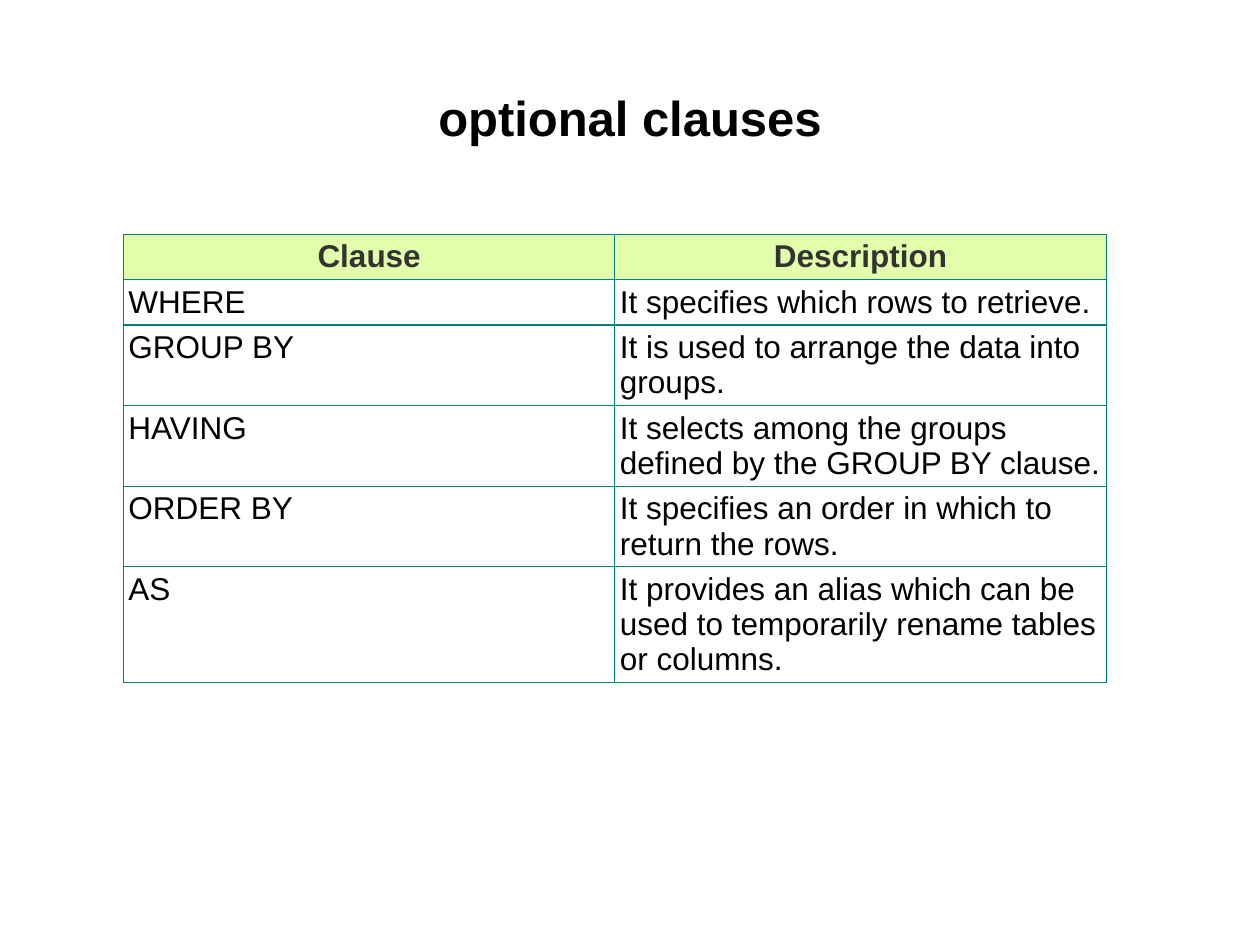
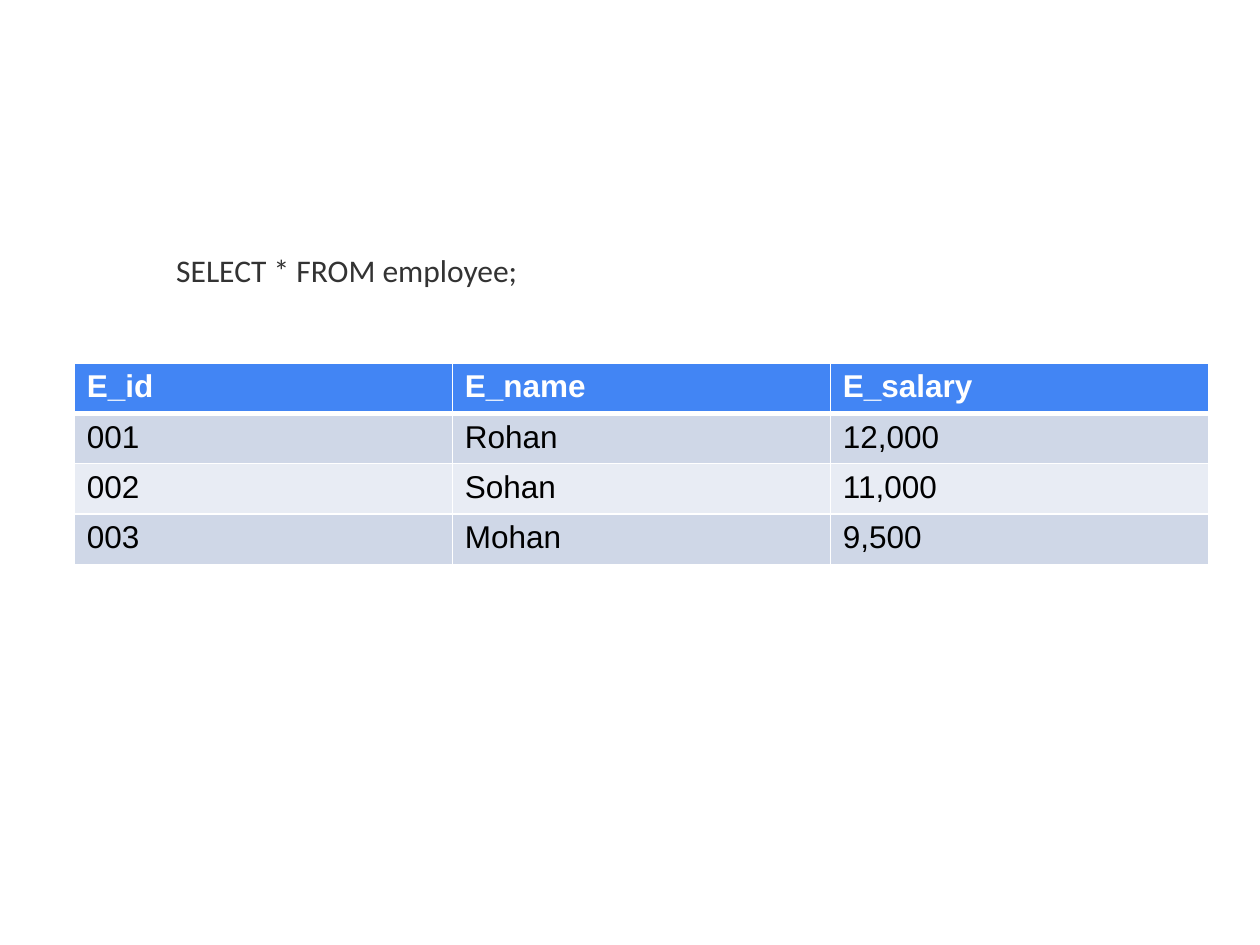
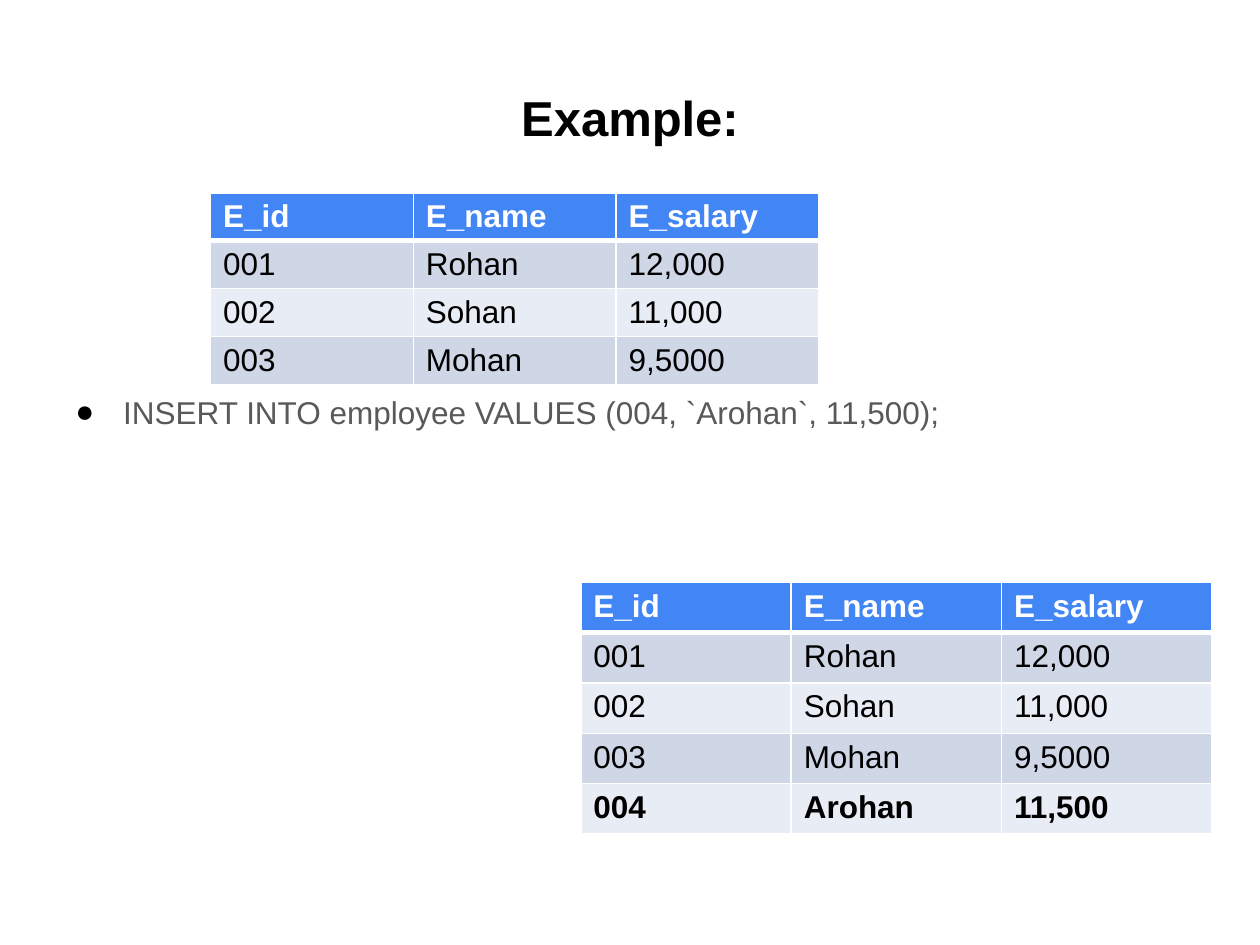
from dataclasses import dataclass

from lxml import etree
from pptx import Presentation
from pptx.dml.color import RGBColor
from pptx.enum.text import MSO_ANCHOR, MSO_AUTO_SIZE, PP_ALIGN
from pptx.oxml.ns import qn
from pptx.util import Inches, Pt

LEFT, CENTER = PP_ALIGN.LEFT, PP_ALIGN.CENTER
TOP, MIDDLE = MSO_ANCHOR.TOP, MSO_ANCHOR.MIDDLE
NO_FIT, GROW = MSO_AUTO_SIZE.NONE, MSO_AUTO_SIZE.SHAPE_TO_FIT_TEXT
TITLE_ONLY, BLANK = 5, 6


@dataclass(frozen=True)
class TableStyle:
    header_fill: str
    header_color: str
    header_align: int
    body_fills: tuple
    border: str
    border_width: float
    header_rule: float
    inset_x: float
    inset_y: float


@dataclass(frozen=True)
class Theme:
    font: str = "Arial"
    code_font: str = "Calibri"
    title_size: int = 28
    text_size: int = 18
    black: str = "000000"
    dark: str = "333333"
    gray: str = "595959"
    clauses: TableStyle = TableStyle(
        "E3FEAB", "333333", CENTER, ("FFFFFF",), "008080", 0.75, 0.75, 0.04, 0.04)
    employees: TableStyle = TableStyle(
        "4285F4", "FFFFFF", LEFT, ("CFD7E7", "E8ECF4"), "FFFFFF", 1, 3, 0.1, 0.05)


THEME = Theme()


def write(frame, text, size=THEME.text_size, font=THEME.font, color=THEME.black,
          bold=False, align=LEFT, bullet=None):
    """Put one formatted paragraph into a text frame."""
    para = frame.paragraphs[0]
    para.alignment = align
    if bullet:
        add_bullet(para, bullet, THEME.black, Inches(0.38))
    span = para.add_run()
    span.text = text
    span.font.size = Pt(size)
    span.font.name = font
    span.font.bold = bold
    span.font.color.rgb = RGBColor.from_string(color)


def add_bullet(para, mark, color, indent):
    properties = para._p.get_or_add_pPr()
    properties.set("marL", str(indent))
    properties.set("indent", str(-indent))
    bullet_color = etree.SubElement(properties, qn("a:buClr"))
    etree.SubElement(bullet_color, qn("a:srgbClr"), val=color)
    etree.SubElement(properties, qn("a:buFont"), typeface=THEME.font)
    etree.SubElement(properties, qn("a:buChar"), char=mark)


def set_borders(cell, color, widths):
    """Draw cell borders; widths are left, right, top, bottom in points."""
    properties = cell._tc.get_or_add_tcPr()
    for side, width in zip("LRTB", widths):
        line = etree.SubElement(properties, qn(f"a:ln{side}"), w=str(Pt(width)))
        fill = etree.SubElement(line, qn("a:solidFill"))
        etree.SubElement(fill, qn("a:srgbClr"), val=color)


class DeckBuilder:
    def __init__(self, theme):
        self.theme = theme
        self.deck = Presentation()
        self.deck.slide_width, self.deck.slide_height = Inches(10), Inches(7.5)
        self.page = None

    def add_page(self, title=None):
        layout = self.deck.slide_layouts[TITLE_ONLY if title else BLANK]
        self.page = self.deck.slides.add_slide(layout)
        if title:
            box = self.page.shapes.title
            box.left, box.top = Inches(0.5), Inches(0.3)
            box.width, box.height = Inches(9), Inches(1.25)
            box.text_frame.auto_size = NO_FIT
            box.text_frame.vertical_anchor = MIDDLE
            write(box.text_frame, title, size=self.theme.title_size, bold=True,
                  align=CENTER)

    def add_text(self, text, left, top, width, height, inset_top=0.05, fit=NO_FIT,
                 **style):
        box = self.page.shapes.add_textbox(
            Inches(left), Inches(top), Inches(width), Inches(height))
        frame = box.text_frame
        frame.word_wrap = True
        frame.auto_size = fit
        frame.margin_top = Inches(inset_top)
        write(frame, text, **style)

    def add_table(self, rows, left, top, column_width, row_height, style,
                  bold_rows=()):
        column_count = len(rows[0])
        table = self.page.shapes.add_table(
            len(rows), column_count, Inches(left), Inches(top),
            Inches(column_width * column_count), Inches(row_height * len(rows))).table
        table.first_row = table.horz_banding = False
        for column in table.columns:
            column.width = Inches(column_width)
        for row_index, values in enumerate(rows):
            table.rows[row_index].height = Inches(row_height)
            for column_index, value in enumerate(values):
                self.fill_cell(table.cell(row_index, column_index), value, row_index,
                               style, row_index == 0 or row_index in bold_rows)

    def fill_cell(self, cell, value, row_index, style, bold):
        header = row_index == 0
        thin, rule = style.border_width, style.header_rule
        set_borders(cell, style.border, (thin, thin, rule if row_index == 1 else thin,
                                         rule if header else thin))
        bands = style.body_fills
        fill = style.header_fill if header else bands[(row_index - 1) % len(bands)]
        cell.fill.solid()
        cell.fill.fore_color.rgb = RGBColor.from_string(fill)
        cell.margin_left = cell.margin_right = Inches(style.inset_x)
        cell.margin_top = cell.margin_bottom = Inches(style.inset_y)
        cell.vertical_anchor = TOP
        write(cell.text_frame, value, bold=bold,
              color=style.header_color if header else self.theme.black,
              align=style.header_align if header else LEFT)


CLAUSES = [
    ("Clause", "Description"),
    ("WHERE", "It specifies which rows to retrieve."),
    ("GROUP BY", "It is used to arrange the data into groups."),
    ("HAVING", "It selects among the groups defined by the GROUP BY clause."),
    ("ORDER BY", "It specifies an order in which to return the rows."),
    ("AS", "It provides an alias which can be used to temporarily rename tables "
           "or columns."),
]


def employee_rows(last_salary):
    return [
        ("E_id", "E_name", "E_salary"),
        ("001", "Rohan", "12,000"),
        ("002", "Sohan", "11,000"),
        ("003", "Mohan", last_salary),
    ]


def main():
    builder = DeckBuilder(THEME)

    # Optional clauses
    builder.add_page("optional clauses")
    builder.add_table(CLAUSES, 0.98, 1.86, 3.9, 0.25, THEME.clauses)

    # Select query and its result
    builder.add_page()
    builder.add_table(employee_rows("9,500"), 0.59, 2.88, 3, 0.4, THEME.employees)
    builder.add_text("SELECT * FROM employee;", 1.3, 1.94, 4.02, 0.4, fit=GROW,
                     font=THEME.code_font, color=THEME.dark)

    # Insert example: table before and after
    builder.add_page("Example:")
    before = employee_rows("9,5000")
    after = before + [("004", "Arohan", "11,500")]
    builder.add_text("INSERT INTO employee VALUES (004, `Arohan`, 11,500);",
                     0.5, 1.75, 9, 4.95, inset_top=1.37, color=THEME.gray, bullet="●")
    builder.add_table(after, 4.61, 4.62, 1.67, 0.4, THEME.employees, bold_rows=(4,))
    builder.add_table(before, 1.67, 1.53, 1.61, 0.38, THEME.employees)

    builder.deck.save("out.pptx")


if __name__ == "__main__":
    main()
